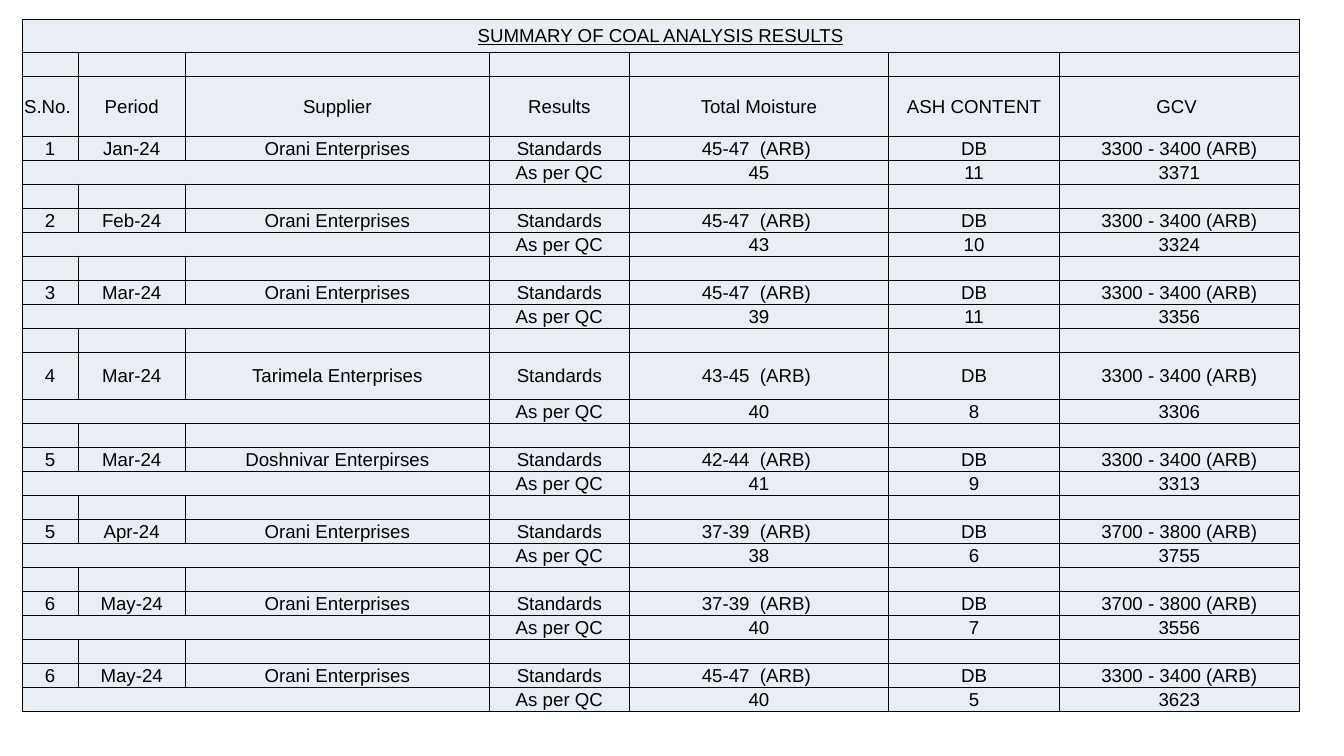
from dataclasses import dataclass

from lxml.etree import SubElement
from pptx import Presentation
from pptx.dml.color import RGBColor
from pptx.enum.text import MSO_ANCHOR as Anchor, PP_ALIGN as Align
from pptx.oxml.ns import qn
from pptx.table import Table, _Cell as Cell
from pptx.util import Pt

LEFT, TOP = 23.76, 20.88
COL_WIDTHS = [59.76, 115.2, 325.44, 150.48, 277.2, 183.6, 256.32]
TITLE_H, HEADER_H, ROW_H, TALL_ROW_H = 35.3, 64.1, 25.75, 50.4
BLACK, PALE_BLUE = "000000", "E9EDF4"
TITLE = "SUMMARY OF COAL ANALYSIS RESULTS"
HEADERS = ["S.No. ", "Period", "Supplier", "Results", "Total Moisture",
           "ASH CONTENT", "GCV "]


@dataclass
class Sample:
    number: int
    period: str
    supplier: str
    moisture_range: str
    gcv_range: str
    moisture: int
    ash: int
    gcv: int
    height: float = ROW_H

    def standards(self) -> list:
        return [self.number, self.period, f"{self.supplier}", "Standards",
                f"{self.moisture_range}  (ARB) ", "DB",
                f"{self.gcv_range} (ARB)"]

    def measured(self) -> list:
        return ["", "", "", "As per QC", self.moisture, self.ash, self.gcv]


MAIN_SUPPLIER = "Orani Enterprises"
SAMPLES = [
    Sample(1, "Jan-24", MAIN_SUPPLIER, "45-47", "3300 - 3400", 45, 11, 3371),
    Sample(2, "Feb-24", MAIN_SUPPLIER, "45-47", "3300 - 3400", 43, 10, 3324),
    Sample(3, "Mar-24", MAIN_SUPPLIER, "45-47", "3300 - 3400", 39, 11, 3356),
    Sample(4, "Mar-24", "Tarimela Enterprises", "43-45", "3300 - 3400", 40, 8, 3306,
           TALL_ROW_H),
    Sample(5, "Mar-24", "Doshnivar Enterpirses", "42-44", "3300 - 3400", 41, 9, 3313),
    Sample(5, "Apr-24", MAIN_SUPPLIER, "37-39", "3700 - 3800", 38, 6, 3755),
    Sample(6, "May-24", MAIN_SUPPLIER, "37-39", "3700 - 3800", 40, 7, 3556),
    Sample(6, "May-24", MAIN_SUPPLIER, "45-47", "3300 - 3400", 40, 5, 3623),
]


@dataclass
class Row:
    height: float
    values: list
    merged: int = 1


def color(value: str) -> RGBColor:
    return RGBColor.from_string(value)


def set_all(target: object, values: dict) -> None:
    for name, value in values.items():
        setattr(target, name, value)


def add_borders(cell: Cell) -> None:
    tc_pr = cell._tc.get_or_add_tcPr()
    for side in ("a:lnL", "a:lnR", "a:lnT", "a:lnB"):
        ln = SubElement(tc_pr, qn(side), w=str(Pt(1)))
        fill = SubElement(ln, qn("a:solidFill"))
        SubElement(fill, qn("a:srgbClr"), val=BLACK)


def format_cell(cell: Cell) -> None:
    set_all(cell, {"margin_left": Pt(0.72), "margin_right": Pt(0.72),
                   "margin_top": Pt(0.72), "margin_bottom": 0,
                   "vertical_anchor": Anchor.MIDDLE})
    add_borders(cell)
    cell.fill.solid()
    cell.fill.fore_color.rgb = color(PALE_BLUE)


def write_cell(cell: Cell, text: str, underline: bool) -> None:
    p = cell.text_frame.paragraphs[0]
    p.alignment = Align.CENTER
    r = p.add_run()
    r.text = text
    set_all(r.font, {"name": "Arial", "size": Pt(20), "bold": False,
                     "underline": underline})
    r.font.color.rgb = color(BLACK)


def fill_row(table: Table, index: int, row: Row) -> None:
    table.rows[index].height = Pt(row.height)
    for col, value in enumerate(row.values):
        cell = table.cell(index, col)
        format_cell(cell)
        if value != "":
            write_cell(cell, str(value), value == TITLE)
    if row.merged > 1:
        table.cell(index, 0).merge(table.cell(index, row.merged - 1))


def build_rows() -> list[Row]:
    blank = [""] * len(HEADERS)
    rows = [Row(TITLE_H, [TITLE] + blank[1:], len(HEADERS)),
            Row(ROW_H, blank), Row(HEADER_H, HEADERS)]
    for i, sample in enumerate(SAMPLES):
        if i:
            rows.append(Row(ROW_H, blank))
        rows.append(Row(sample.height, sample.standards()))
        rows.append(Row(ROW_H, sample.measured(), 3))
    return rows


def main() -> None:
    prs = Presentation()
    set_all(prs, {"slide_width": Pt(1440), "slide_height": Pt(810)})
    s = prs.slides.add_slide(prs.slide_layouts[6])
    rows = build_rows()
    table = s.shapes.add_table(
        len(rows), len(HEADERS), Pt(LEFT), Pt(TOP),
        Pt(sum(COL_WIDTHS)), Pt(sum(row.height for row in rows))).table
    set_all(table, {"first_row": False, "horz_banding": False})
    for column, width in zip(table.columns, COL_WIDTHS):
        column.width = Pt(width)
    for index, row in enumerate(rows):
        fill_row(table, index, row)
    prs.save("out.pptx")


if __name__ == "__main__":
    main()
